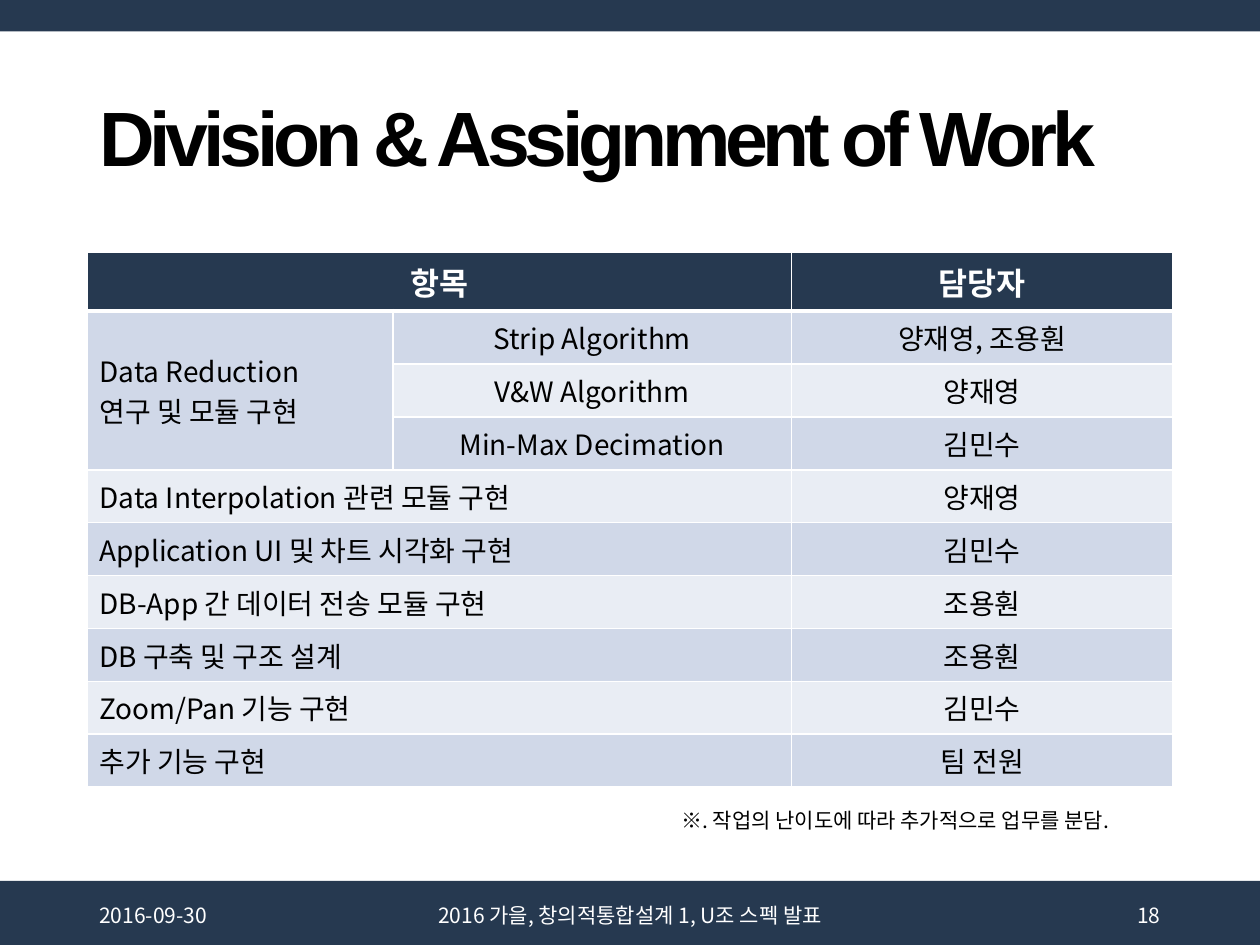
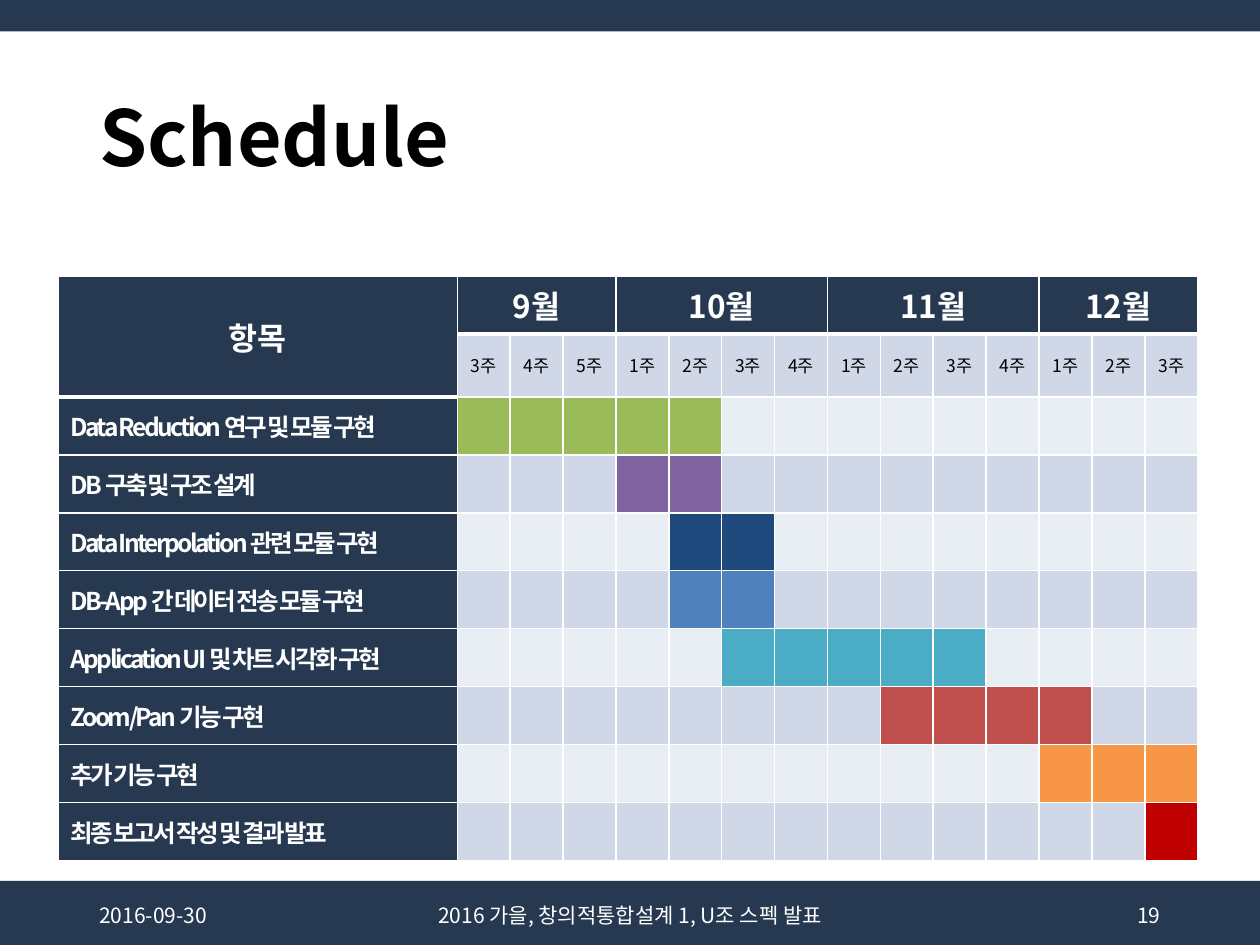
from dataclasses import dataclass

from lxml import etree
from pptx import Presentation
from pptx.dml.color import RGBColor
from pptx.enum.shapes import MSO_SHAPE
from pptx.enum.text import MSO_ANCHOR, PP_ALIGN
from pptx.oxml.ns import qn
from pptx.util import Inches, Pt

RECTANGLE = MSO_SHAPE.RECTANGLE
TOP, MIDDLE = MSO_ANCHOR.TOP, MSO_ANCHOR.MIDDLE
LEFT, CENTER, RIGHT = PP_ALIGN.LEFT, PP_ALIGN.CENTER, PP_ALIGN.RIGHT


@dataclass(frozen=True)
class Theme:
    """Colours, fonts and type sizes of the presentation."""
    navy: str = "0F243E"
    navy_opacity: int = 90
    white: str = "FFFFFF"
    black: str = "000000"
    bands: tuple = ("D0D8E8", "E9EDF4")
    font: str = "Noto Sans CJK KR"
    title_font: str = "Arial"
    title_size: int = 44
    header_size: int = 18
    body_size: int = 16
    task_size: int = 14
    note_size: int = 12
    week_size: int = 10


THEME = Theme()
DATE = "2016-09-30"
FOOTER = "2016 가을, 창의적통합설계 1, U조 스펙 발표"

INTERPOLATION = "Data Interpolation 관련 모듈 구현"
INTERFACE = "Application UI 및 차트 시각화 구현"
TRANSFER = "DB-App 간 데이터 전송 모듈 구현"
DATABASE = "DB 구축 및 구조 설계"
ZOOM = "Zoom/Pan 기능 구현"
EXTRA = "추가 기능 구현"

ALGORITHMS = [
    ("Strip Algorithm", "양재영, 조용훤"),
    ("V&W Algorithm", "양재영"),
    ("Min-Max Decimation", "김민수"),
]
ASSIGNMENTS = [
    (INTERPOLATION, "양재영"),
    (INTERFACE, "김민수"),
    (TRANSFER, "조용훤"),
    (DATABASE, "조용훤"),
    (ZOOM, "김민수"),
    (EXTRA, "팀 전원"),
]
# Month, first week, last week
MONTHS = [("9월", 3, 5), ("10월", 1, 4), ("11월", 1, 4), ("12월", 1, 3)]
# Task, first week column, number of weeks, bar colour
SCHEDULE = [
    ("Data Reduction 연구 및 모듈 구현", 1, 5, "9BBB59"),
    (DATABASE, 4, 2, "8064A2"),
    (INTERPOLATION, 5, 2, "1F497D"),
    (TRANSFER, 5, 2, "4F81BD"),
    (INTERFACE, 6, 5, "4BACC6"),
    (ZOOM, 9, 4, "C0504D"),
    (EXTRA, 12, 3, "F79646"),
    ("최종 보고서 작성 및 결과 발표", 14, 1, "C00000"),
]


class Deck:
    """Holds the theme and the current slide, and draws its elements."""

    def __init__(self, theme):
        """Start an empty presentation."""
        self.theme = theme
        self.presentation = Presentation()
        self.presentation.slide_width = Inches(10)
        self.presentation.slide_height = Inches(7.5)
        self.slide = None

    def new_slide(self, title, number, **title_format):
        """Add a slide with its bands, title and footer."""
        layout = self.presentation.slide_layouts[6]
        self.slide = self.presentation.slides.add_slide(layout)
        self.band(0, 0.25)
        self.band(6.99, 0.51)
        self.text_box(title, 0.69, 0.4, 8.62, 1.45, line_spacing=0.9,
                      size=self.theme.title_size, bold=True, **title_format)
        footers = [(DATE, 0.69, 2.25, LEFT), (FOOTER, 3.09, 3.82, CENTER),
                   (str(number), 7.06, 2.25, RIGHT)]
        for text, left, width, alignment in footers:
            self.text_box(text, left, 7.06, width, 0.4, alignment=alignment,
                          size=self.theme.note_size, color=self.theme.white)

    def fill(self, item, color):
        """Fill a shape or cell; navy is slightly transparent."""
        item.fill.solid()
        item.fill.fore_color.rgb = RGBColor.from_string(color)
        if color == self.theme.navy:
            element = item._tc if hasattr(item, "_tc") else item._element.spPr
            color_element = next(element.iter(qn("a:srgbClr")))
            alpha = etree.SubElement(color_element, qn("a:alpha"))
            alpha.set("val", str(self.theme.navy_opacity * 1000))

    def band(self, top, height):
        """Draw a navy band across the slide."""
        shape = self.slide.shapes.add_shape(
            RECTANGLE, 0, Inches(top), Inches(10), Inches(height))
        shape.shadow.inherit = False
        shape.line.fill.background()
        self.fill(shape, self.theme.navy)

    def set_text(self, frame, text, alignment=LEFT, line_spacing=None,
                 size=None, color=None, bold=False, font=None, spacing=None):
        """Put text into a frame, one paragraph a line."""
        name = font or self.theme.font
        font_format = {"name": name, "size": Pt(size), "bold": bold}
        paragraph_format = {"alignment": alignment, "line_spacing": line_spacing}
        for index, line in enumerate(text.split("\n")):
            paragraph = frame.add_paragraph() if index else frame.paragraphs[0]
            for key, value in paragraph_format.items():
                setattr(paragraph, key, value)
            run = paragraph.add_run()
            run.text = line
            for key, value in font_format.items():
                setattr(run.font, key, value)
            run.font.color.rgb = RGBColor.from_string(color or self.theme.black)
            properties = run._r.get_or_add_rPr()
            etree.SubElement(properties, qn("a:ea")).set("typeface", name)
            if spacing:
                properties.set("spc", str(int(spacing * 100)))

    def text_box(self, text, left, top, width, height, wrap=True,
                 anchor=MIDDLE, **text_format):
        """Add a text box."""
        shape = self.slide.shapes.add_textbox(
            Inches(left), Inches(top), Inches(width), Inches(height))
        shape.text_frame.word_wrap = wrap
        shape.text_frame.vertical_anchor = anchor
        self.set_text(shape.text_frame, text, **text_format)

    def table(self, left, top, widths, heights):
        """Add an unstyled table with the given columns and rows."""
        frame = self.slide.shapes.add_table(
            len(heights), len(widths), Inches(left), Inches(top),
            Inches(sum(widths)), Inches(sum(heights)))
        table = frame.table
        table.first_row = table.horz_banding = False
        for column, width in zip(table.columns, widths):
            column.width = Inches(width)
        for row, height in zip(table.rows, heights):
            row.height = Inches(height)
        return table

    def borders(self, cell, bottom):
        """Give a cell white borders; the bottom one has its own width."""
        properties = cell._tc.get_or_add_tcPr()
        widths = {"lnL": 1, "lnR": 1, "lnB": bottom}
        for index, (side, width) in enumerate(widths.items()):
            line = etree.Element(qn(f"a:{side}"), w=str(int(Pt(width))))
            solid = etree.SubElement(line, qn("a:solidFill"))
            etree.SubElement(solid, qn("a:srgbClr")).set("val", self.theme.white)
            properties.insert(index, line)

    def cell(self, table, row, column, fill, text="", span=(1, 1), bottom=1,
             anchor=MIDDLE, **text_format):
        """Fill, border and label one cell, merged over span if needed."""
        rows, columns = span
        cell = table.cell(row, column)
        if span != (1, 1):
            cell.merge(table.cell(row + rows - 1, column + columns - 1))
        for each_row in range(row, row + rows):
            for each_column in range(column, column + columns):
                part = table.cell(each_row, each_column)
                self.fill(part, fill)
                self.borders(part, bottom)
        cell.vertical_anchor = anchor
        if text:
            self.set_text(cell.text_frame, text, **text_format)

    def header(self, table, row, column, text, **cell_format):
        """Add a navy header cell with a thick lower border."""
        self.cell(table, row, column, self.theme.navy, text, bottom=3,
                  alignment=CENTER, size=self.theme.header_size, bold=True,
                  color=self.theme.white, **cell_format)


def division_slide(deck):
    """Build the table of tasks and people in charge."""
    theme = deck.theme
    deck.new_slide("Division & Assignment of Work", 18,
                   font=theme.title_font, spacing=-3)
    table = deck.table(0.69, 2, [2.43, 3.16, 3.03], [0.47] + [0.42] * 9)
    deck.header(table, 0, 0, "항목", span=(1, 2))
    deck.header(table, 0, 2, "담당자")
    body = {"size": theme.body_size}
    deck.cell(table, 1, 0, theme.bands[0], "Data Reduction\n연구 및 모듈 구현",
              span=(3, 1), **body)
    for row, (task, person) in enumerate(ALGORITHMS + ASSIGNMENTS, start=1):
        band = theme.bands[(row - 1) % 2]
        if row <= len(ALGORITHMS):
            deck.cell(table, row, 1, band, task, alignment=CENTER, **body)
        else:
            deck.cell(table, row, 0, band, task, span=(1, 2), **body)
        deck.cell(table, row, 2, band, person, alignment=CENTER, **body)
    deck.text_box("※. 작업의 난이도에 따라 추가적으로 업무를 분담.",
                  5.31, 6.36, 4, 0.3, wrap=False, anchor=TOP,
                  size=theme.note_size)


def schedule_slide(deck):
    """Build the week-by-week schedule."""
    theme = deck.theme
    deck.new_slide("Schedule", 19)
    weeks = sum(last - first + 1 for _, first, last in MONTHS)
    table = deck.table(0.46, 2.19, [3.17] + [0.42] * weeks,
                       [0.46, 0.5] + [0.46] * len(SCHEDULE))
    deck.header(table, 0, 0, "항목", span=(2, 1))
    column = 1
    for month, first, last in MONTHS:
        deck.header(table, 0, column, month, span=(1, last - first + 1),
                    anchor=TOP)
        for week in range(first, last + 1):
            deck.cell(table, 1, column, theme.bands[0], f"{week}주",
                      alignment=CENTER, size=theme.week_size)
            column += 1
    for row, (task, start, length, color) in enumerate(SCHEDULE, start=2):
        deck.cell(table, row, 0, theme.navy, task, size=theme.task_size,
                  bold=True, color=theme.white, spacing=-1.5)
        for column in range(1, weeks + 1):
            active = start <= column < start + length
            band = theme.bands[(row - 1) % 2]
            deck.cell(table, row, column, color if active else band)


def main():
    """Build and save the presentation."""
    deck = Deck(THEME)
    division_slide(deck)
    schedule_slide(deck)
    deck.presentation.save("out.pptx")


main()
